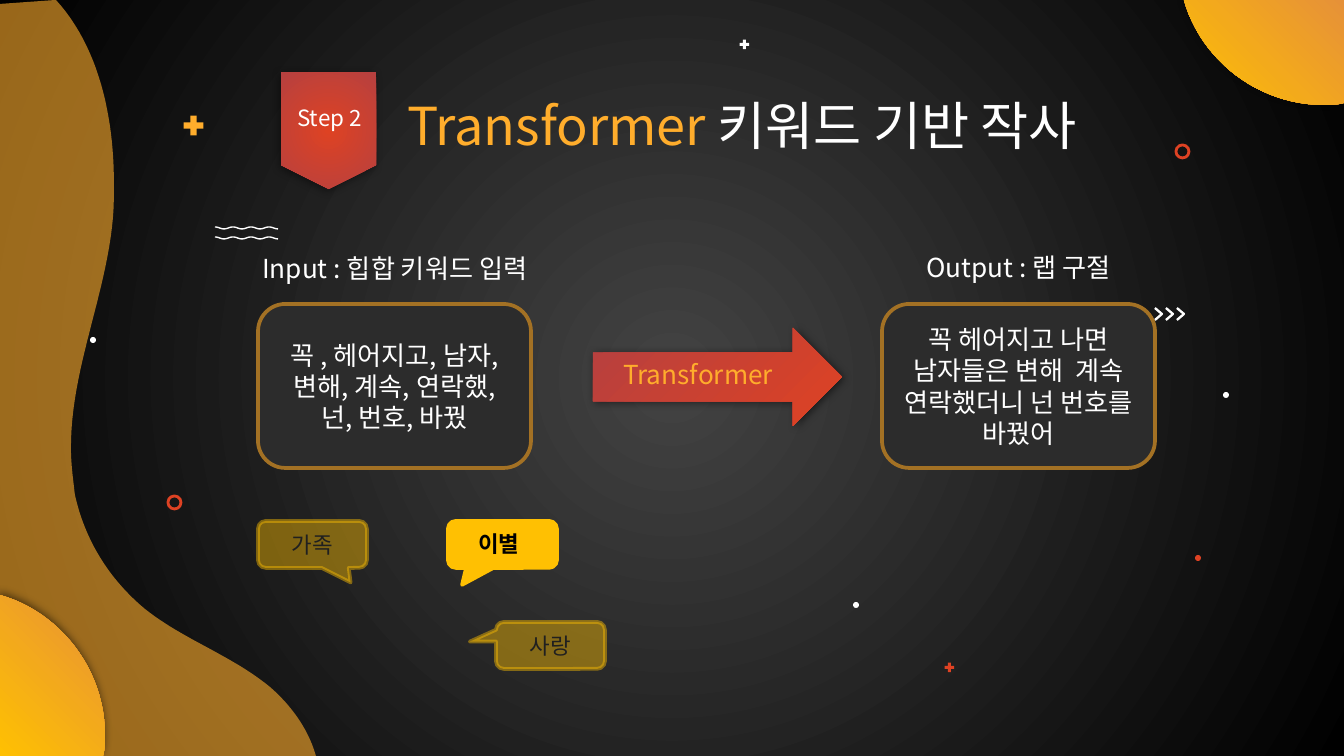
from dataclasses import dataclass
from math import cos, pi
from typing import Any, Optional

from lxml.etree import SubElement
from pptx import Presentation
from pptx.dml.color import RGBColor
from pptx.enum.shapes import MSO_SHAPE as Preset
from pptx.enum.text import MSO_ANCHOR as Anchor, MSO_AUTO_SIZE as AutoSize, PP_ALIGN as Align
from pptx.oxml.ns import qn
from pptx.util import Pt

PX = 914400 / 134.4
FONT = "Noto Sans CJK KR"
WHITE = RGBColor(0xFF, 0xFF, 0xFF)
BLACK = RGBColor(0x00, 0x00, 0x00)
CHARCOAL = RGBColor(0x43, 0x43, 0x43)
PANEL = RGBColor(0x2C, 0x2C, 0x2C)
INK = RGBColor(0x20, 0x20, 0x20)
BRONZE = RGBColor(0xA3, 0x71, 0x24)
AMBER = RGBColor(0xFF, 0xAD, 0x2C)
YELLOW = RGBColor(0xFF, 0xC0, 0x02)
ORANGE = RGBColor(0xE6, 0x91, 0x38)
RED = RGBColor(0xDE, 0x42, 0x23)
CRIMSON = RGBColor(0xB6, 0x40, 0x40)

Point = tuple[float, float]
Box = tuple[int, int, int, int]


@dataclass(frozen=True)
class Gradient:
    start: RGBColor
    end: RGBColor
    focus: tuple[int, int]  # percent from the left and from the top


@dataclass(frozen=True)
class Shadow:
    opacity: int
    angle: int


@dataclass(frozen=True)
class Style:
    fill: Any = None
    line: Optional[RGBColor] = None
    weight: float = 2
    opacity: int = 100
    shadow: Optional[Shadow] = None


@dataclass(frozen=True)
class Blob:
    start: Point
    curves: list[tuple[Point, Point, Point]]
    corners: list[Point]
    style: Style


@dataclass(frozen=True)
class Label:
    text: str
    box: Box
    format: dict[str, Any]


@dataclass(frozen=True)
class Callout:
    text: str
    left: int
    top: int
    tail: tuple[float, float]
    opacity: int


def emu(pixels: float) -> int:
    return round(pixels * PX)


def paint_gradient(fill: Any, owner: Any, gradient: Gradient) -> None:
    fill.gradient()
    for stop, color in zip(fill.gradient_stops, (gradient.start, gradient.end)):
        stop.color.rgb = color
    element = next(owner.iter(qn("a:gradFill")))
    element.remove(element.find(qn("a:lin")))
    x, y = gradient.focus
    circle = SubElement(element, qn("a:path"), path="circle")
    sides = {"l": x, "t": y, "r": 100 - x, "b": 100 - y}
    SubElement(circle, qn("a:fillToRect"), {side: str(v * 1000) for side, v in sides.items()})


def apply_style(shape: Any, style: Style) -> None:
    properties = shape._element.spPr
    if isinstance(style.fill, Gradient):
        paint_gradient(shape.fill, properties, style.fill)
    elif style.fill is not None:
        shape.fill.solid()
        shape.fill.fore_color.rgb = style.fill
    else:
        shape.fill.background()
    if style.line is not None:
        shape.line.color.rgb = style.line
        shape.line.width = Pt(style.weight)
    else:
        shape.line.fill.background()
    if style.opacity < 100:
        for color in properties.iter(qn("a:srgbClr")):
            SubElement(color, qn("a:alpha"), val=str(style.opacity * 1000))
    shape.shadow.inherit = False
    if style.shadow:
        outer = SubElement(properties.find(qn("a:effectLst")), qn("a:outerShdw"),
                           blurRad=str(Pt(4.5)), dist=str(Pt(1.5)),
                           dir=str(style.shadow.angle * 60000), algn="bl", rotWithShape="0")
        color = SubElement(outer, qn("a:srgbClr"), val=str(BLACK))
        SubElement(color, qn("a:alpha"), val=str(style.shadow.opacity * 1000))


def draw_shape(page: Any, preset: Any, box: Box, style: Style, adjust: tuple = ()) -> Any:
    shape = page.shapes.add_shape(preset, *map(emu, box))
    for index, value in enumerate(adjust):
        shape.adjustments[index] = value
    apply_style(shape, style)
    return shape


def draw_outline(page: Any, points: list[Point], style: Style, close: bool) -> None:
    scaled = [(emu(x), emu(y)) for x, y in points]
    builder = page.shapes.build_freeform(*scaled[0], scale=1.0)
    builder.add_line_segments(scaled[1:], close=close)
    apply_style(builder.convert_to_shape(), style)


def draw_blob(page: Any, blob: Blob, steps: int = 24) -> None:
    points = [blob.start]
    for curve in blob.curves:
        knots = (points[-1], *curve)
        for step in range(1, steps + 1):
            t = step / steps
            weights = ((1 - t) ** 3, 3 * t * (1 - t) ** 2, 3 * t * t * (1 - t), t ** 3)
            points.append(tuple(sum(w * k[axis] for w, k in zip(weights, knots)) for axis in (0, 1)))
    draw_outline(page, points + blob.corners, blob.style, True)


def add_span(para: Any, text: str, format: dict[str, Any]) -> None:
    span = para.add_run()
    span.text = text
    values = {"name": FONT, "size": Pt(14), **format}
    color = values.pop("color", WHITE)
    for name, value in values.items():
        setattr(span.font, name, value)
    span.font.color.rgb = color
    SubElement(span.font._element, qn("a:ea"), typeface=values["name"])


def write_centred(shape: Any, text: str, format: dict[str, Any]) -> None:
    shape.text_frame.word_wrap = True
    para = shape.text_frame.paragraphs[0]
    para.alignment = Align.CENTER
    add_span(para, text, format)


def draw_label(page: Any, label: Label) -> None:
    box = page.shapes.add_textbox(*map(emu, label.box))
    box.text_frame.word_wrap = True
    add_span(box.text_frame.paragraphs[0], label.text, label.format)


DISC = Style(Gradient(YELLOW, ORANGE, (0, 100)), shadow=Shadow(50, 261))
BLOBS = [
    Blob((316, 756), [((309, 731), (293, 707), (270, 687)), ((231, 655), (184, 640), (145, 609)),
                      ((109, 579), (85, 540), (75, 495)), ((73, 478), (71, 463), (71, 448)),
                      ((71, 368), (106, 297), (113, 218)), ((114, 206), (114, 195), (114, 183)),
                      ((114, 117), (99, 47), (56, 0))], [(0, 4), (0, 756)], Style(AMBER, opacity=60)),
    Blob((0, 595), [((60, 612), (105, 669), (105, 735)), ((105, 742), (105, 749), (103, 756))],
         [(0, 756)], DISC),
    Blob((1184, 0), [((1201, 60), (1258, 105), (1324, 105)), ((1330, 105), (1337, 105), (1344, 103))],
         [(1344, 0)], DISC),
]
PLUSES = [(180, 112, 27, AMBER), (738, 38, 13, WHITE), (943, 661, 13, RED)]
DOTS = [(90, 337, WHITE), (1223, 392, WHITE), (853, 602, WHITE), (1195, 555, RED)]
RINGS = [(1176, 145), (168, 496)]
PANELS = [(258, "꼭 , 헤어지고, 남자, 변해, 계속, 연락했, 넌, 번호, 바꿨"),
          (882, "꼭 헤어지고 나면 남자들은 변해  계속 연락했더니 넌 번호를 바꿨어")]
CALLOUTS = [Callout("", 448, 521, (-0.37, 0.86), 100),
            Callout("가족", 258, 521, (0.35, 0.81), 43),
            Callout("사랑", 496, 622, (-0.74, -0.08), 43)]
LABELS = [Label("Step 2", (284, 98, 97, 40), {"size": Pt(12)}),
          Label("Input : 힙합 키워드 입력", (249, 246, 344, 46), {}),
          Label("Output : 랩 구절", (913, 245, 273, 46), {}),
          Label("Transformer", (610, 352, 314, 46), {"color": AMBER}),
          Label("이별", (465, 524, 78, 40),
                {"name": "Arial", "size": Pt(12), "bold": True, "color": BLACK})]


def main() -> None:
    deck = Presentation()
    deck.slide_width, deck.slide_height = emu(1344), emu(756)
    page = deck.slides.add_slide(deck.slide_layouts[5])
    paint_gradient(page.background.fill, page._element, Gradient(CHARCOAL, BLACK, (50, 50)))

    # Scattered decorations
    for top in (228, 238):
        wave = [(215 + x, top - cos(2 * pi * x / 18)) for x in range(64)]
        draw_outline(page, wave, Style(line=WHITE, weight=0.75), False)
    for left in range(1155, 1188, 11):
        chevron = [(left, 308), (left + 7, 314), (left, 320)]
        draw_outline(page, chevron, Style(line=WHITE, weight=1.25), False)
    for left, top, size, color in PLUSES:
        draw_shape(page, Preset.MATH_PLUS, (left, top, size, size), Style(color), (0.235,))
    for left, top, color in DOTS:
        draw_shape(page, Preset.OVAL, (left, top, 6, 6), Style(color))
    for left, top in RINGS:
        draw_shape(page, Preset.OVAL, (left, top, 13, 13), Style(line=RED, weight=1.5))
    for blob in BLOBS:
        draw_blob(page, blob)

    # Title and step banner
    title = page.shapes.title
    title.left, title.top, title.width, title.height = map(emu, (407, 93, 914, 78))
    frame_format = {"margin_left": 0, "margin_top": 0, "margin_right": 0, "margin_bottom": 0,
                    "vertical_anchor": Anchor.TOP, "auto_size": AutoSize.NONE, "word_wrap": True}
    for name, value in frame_format.items():
        setattr(title.text_frame, name, value)
    para = title.text_frame.paragraphs[0]
    para.alignment = Align.LEFT
    add_span(para, "Transformer ", {"size": Pt(28), "color": AMBER})
    add_span(para, "키워드 기반 작사", {"size": Pt(28)})
    banner = draw_shape(page, Preset.PENTAGON, (270, 83, 117, 95),
                        Style(Gradient(RED, CRIMSON, (50, 50)), shadow=Shadow(43, 122)), (0.25,))
    banner.rotation = 90

    # Input and output panels with the arrow between them
    for left, text in PANELS:
        panel = draw_shape(page, Preset.ROUNDED_RECTANGLE, (left, 304, 273, 164), Style(PANEL, BRONZE))
        write_centred(panel, text, {})
    draw_shape(page, Preset.RIGHT_ARROW, (593, 328, 249, 98),
               Style(Gradient(RED, CRIMSON, (100, 100)), shadow=Shadow(50, 30)))

    # Keyword callouts
    for callout in CALLOUTS:
        bubble = draw_shape(page, Preset.ROUNDED_RECTANGULAR_CALLOUT, (callout.left, callout.top, 109, 47),
                            Style(YELLOW, YELLOW, opacity=callout.opacity), callout.tail)
        if callout.text:
            write_centred(bubble, callout.text, {"size": Pt(12), "color": INK})
    for label in LABELS:
        draw_label(page, label)
    deck.save("out.pptx")


if __name__ == "__main__":
    main()
